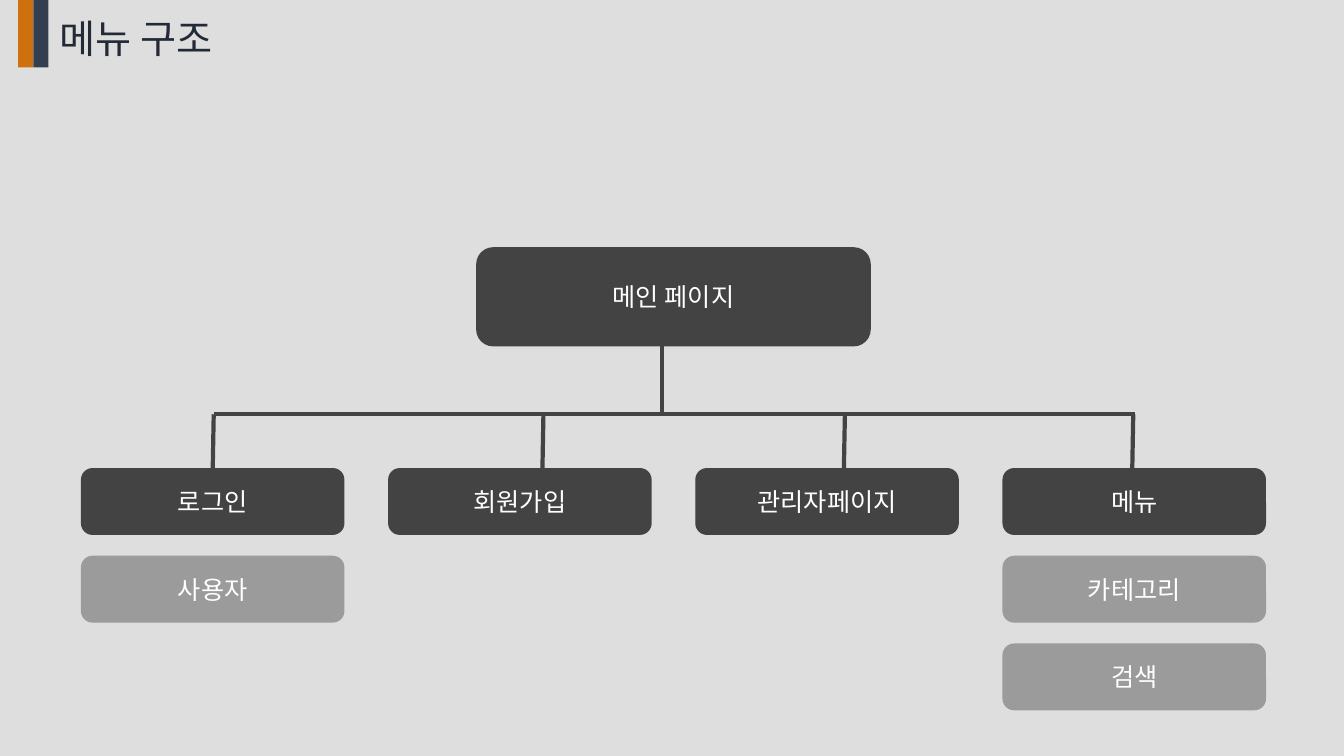
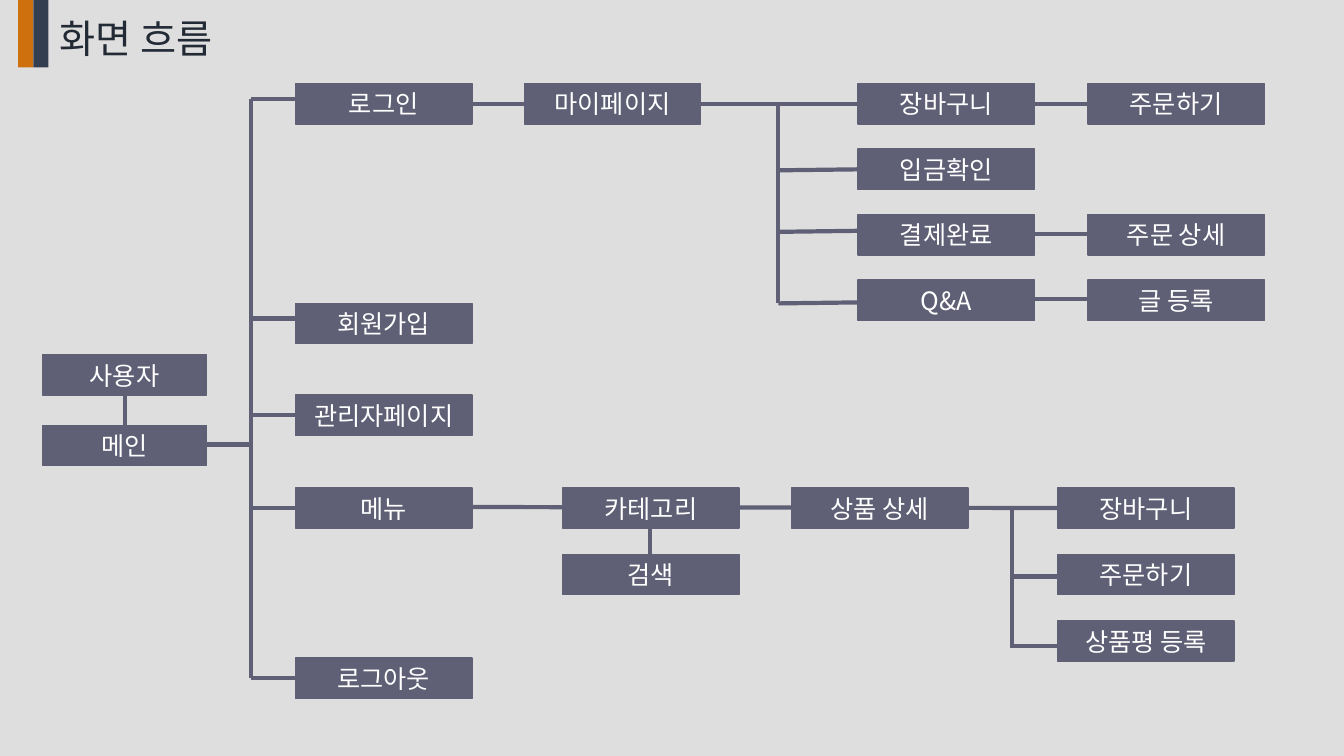
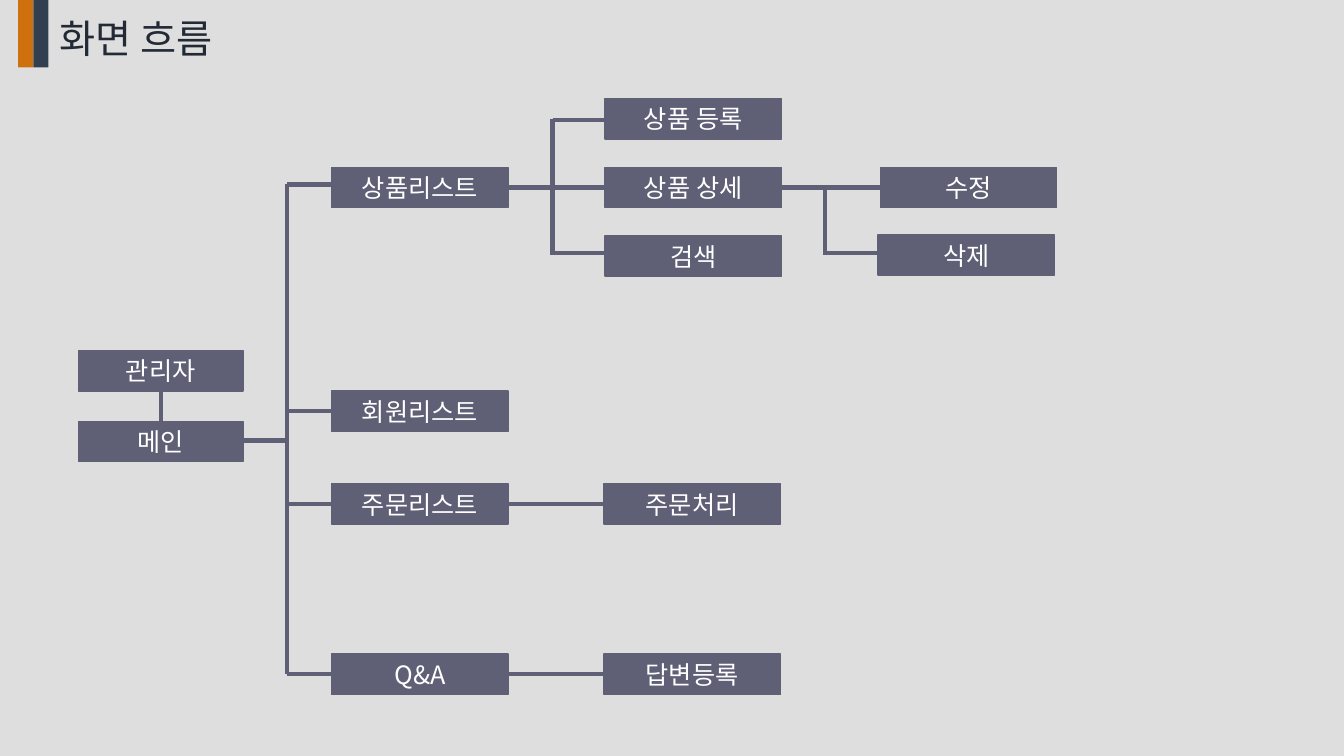
from collections import namedtuple

from lxml.etree import SubElement as Sub
from pptx import Presentation
from pptx.dml.color import RGBColor as RGB
from pptx.enum.shapes import MSO_CONNECTOR as Link, MSO_SHAPE as Kind
from pptx.enum.text import MSO_ANCHOR as Anchor, MSO_AUTO_SIZE as Fit, PP_ALIGN as Align
from pptx.oxml.ns import qn
from pptx.util import Inches, Pt

# Shared colours, font and sizes
PAPER = RGB(0xDF, 0xDE, 0xDE)
ORANGE = RGB(0xCD, 0x70, 0x0D)
NAVY = RGB(0x33, 0x3F, 0x50)
INK = RGB(0x22, 0x2A, 0x35)
WHITE = RGB(0xFF, 0xFF, 0xFF)
DARK = RGB(0x43, 0x43, 0x43)
GREY = RGB(0x9B, 0x9B, 0x9B)
SLATE = RGB(0x5F, 0x5F, 0x76)
FACE = "Noto Sans CJK KR"
CELL_W, CELL_H = 1.75, 0.4

Box = namedtuple("Box", "x y w h")


def inch(*nums):
    return [Inches(n) for n in nums]


def write(shape, text, size, color, align):
    """Put one formatted line of text, centred vertically, in a shape."""
    frame = shape.text_frame
    look = {"word_wrap": True, "auto_size": Fit.NONE, "vertical_anchor": Anchor.MIDDLE}
    for key, val in look.items():
        setattr(frame, key, val)
    par = frame.paragraphs[0]
    par.alignment = align
    run = par.add_run()
    run.text = text
    for key, val in {"name": FACE, "size": Pt(size), "bold": False}.items():
        setattr(run.font, key, val)
    run.font.color.rgb = color
    Sub(run.font._element, qn("a:ea")).set("typeface", FACE)


def block(slide, box, color, text="", kind=Kind.RECTANGLE):
    shape = slide.shapes.add_shape(kind, *inch(*box))
    shape.shadow.inherit = False
    shape.fill.solid()
    shape.fill.fore_color.rgb = color
    if text:
        shape.line.color.rgb = color
        shape.line.width = Pt(1)
        write(shape, text, 18, WHITE, Align.CENTER)
    else:
        shape.line.fill.background()


def rule(slide, x1, y1, x2, y2, color=SLATE):
    line = slide.shapes.add_connector(Link.STRAIGHT, *inch(x1, y1, x2, y2))
    line.line.color.rgb = color
    line.line.width = Pt(3)
    Sub(line._element.spPr, qn("a:effectLst"))


def page(deck, title):
    """Add a slide with its title and the two corner bands."""
    slide = deck.slides.add_slide(deck.slide_layouts[5])
    for i, color in enumerate((ORANGE, NAVY)):
        block(slide, Box(0.18 + 0.15 * i, 0, 0.15, 0.67), color)
    head = slide.shapes.title
    spot = dict(zip(("left", "top", "width", "height"), inch(0.49, 0.09, 1.91, 0.57)))
    for key, val in spot.items():
        setattr(head, key, val)
    write(head, title, 28, INK, Align.LEFT)
    return slide


def tree(slide, box, top, cols, stubs):
    """Menu tree: a wide root above equal columns of rounded cells."""
    wide, tall, high, step = 2.6, 0.65, 0.97, 0.87
    root = Box(box.x + (box.w - 3.9) / 2, box.y, 3.9, high)
    bar, row = box.y + 1.65, box.y + 2.19
    # Lines from the root to each column
    rule(slide, box.x + stubs[0] + 0.01, bar, box.x + stubs[-1] + 0.03, bar, DARK)
    rule(slide, box.x + 5.76, bar, box.x + 5.76, box.y + high, DARK)
    for stub in stubs:
        rule(slide, box.x + stub, row, box.x + stub + 0.01, bar, DARK)
    # Cells
    block(slide, root, DARK, top, Kind.ROUNDED_RECTANGLE)
    pitch = (box.w - wide) / (len(cols) - 1)
    for i, names in enumerate(cols):
        for j, name in enumerate(names):
            cell = Box(box.x + i * pitch, row + j * step, wide, tall)
            block(slide, cell, GREY if j else DARK, name, Kind.ROUNDED_RECTANGLE)


def stack(slide, x, y, names, step=0.65, wide=CELL_W):
    """Column of flow cells at an equal pitch; None leaves a gap."""
    for i, name in enumerate(names):
        if name:
            block(slide, Box(x, y + i * step, wide, CELL_H), SLATE, name)


def fan(slide, x, top, end, to, ticks, tilt=0):
    """Upright line with ticks to the right."""
    rule(slide, x, top, x, end)
    for y in ticks:
        rule(slide, x, y, to, y - tilt)


def start(slide, x, y, user, kids):
    """Left part of a flow: user, main page, trunk and first-level cells.

    Each kid is (name, top, tick), top from y and tick from the cell's top.
    """
    stack(slide, x, y, (user, "메인"), 0.7, 1.63)
    rule(slide, x + 0.82, y + CELL_H, x + 0.82, y + 0.7)
    rule(slide, x + 1.63, y + 0.89, x + 2.07, y + 0.89)
    ticks = [y + top + tick for _, top, tick in kids]
    fan(slide, x + 2.07, ticks[0], ticks[-1], x + 2.51, ticks)
    for name, top, _ in kids:
        stack(slide, x + 2.51, y + top, (name,))


def shop(slide):
    """Flow of the user's screens."""
    start(slide, 0.42, 3.52, "사용자", (
        ("로그인", -2.69, 0.15), ("회원가입", -0.51, 0.15), ("관리자페이지", 0.4, 0.2),
        ("메뉴", 1.32, 0.2), ("로그아웃", 3.01, 0.2)))
    # Login branch
    rule(slide, 4.68, 1.03, 10.79, 1.03)
    fan(slide, 7.72, 1.03, 3.01, 8.51, (1.69, 2.3, 3.01), 0.01)
    for y in (2.32, 2.97):
        rule(slide, 10.27, y, 10.79, y)
    stack(slide, 5.2, 0.83, ("마이페이지",))
    stack(slide, 8.51, 0.83, ("장바구니", "입금확인", "결제완료", "Q&A"))
    stack(slide, 10.79, 0.83, ("주문하기", None, "주문 상세", "글 등록"))
    # Menu branch
    rule(slide, 4.68, 5.03, 10.49, 5.04)
    rule(slide, 6.45, 5.24, 6.45, 5.5)
    fan(slide, 10.04, 5.03, 6.43, 10.56, (5.72, 6.41))
    stack(slide, 5.58, 4.84, ("카테고리", "검색"), 0.66)
    stack(slide, 7.85, 4.84, ("상품 상세",))
    stack(slide, 10.49, 4.84, ("장바구니", "주문하기", "상품평 등록"), 0.66)


def admin(slide):
    """Flow of the manager's screens."""
    start(slide, 0.78, 3.48, "관리자", (
        ("상품리스트", -1.82, 0.17), ("회원리스트", 0.4, 0.2),
        ("주문리스트", 1.32, 0.2), ("Q&A", 3.01, 0.2)))
    # Product branch
    rule(slide, 5.04, 1.86, 8.98, 1.86)
    fan(slide, 5.48, 1.18, 2.53, 6.04, (1.19, 2.51))
    fan(slide, 8.18, 1.86, 2.53, 8.73, (2.51,))
    stack(slide, 6, 0.98, ("상품 등록", "상품 상세", "검색"), 0.68)
    stack(slide, 8.73, 1.66, ("수정",))
    stack(slide, 8.71, 2.33, ("삭제",))
    # Order and question branches
    for y in (5, 6.69):
        rule(slide, 5.04, y, 5.99, y)
    stack(slide, 5.99, 4.8, ("주문처리", "답변등록"), 1.69)


def main():
    deck = Presentation()
    deck.slide_width, deck.slide_height = inch(13.33, 7.5)
    back = deck.slide_master.background.fill
    back.solid()
    back.fore_color.rgb = PAPER

    tree(page(deck, "메뉴 구조"), Box(0.81, 2.46, 11.74, 4.59), "메인 페이지",
         (("로그인", "사용자"), ("회원가입",), ("관리자페이지",), ("메뉴", "카테고리", "검색")),
         (1.3, 4.57, 7.56, 10.42))
    shop(page(deck, "화면 흐름"))
    admin(page(deck, "화면 흐름"))
    deck.save("out.pptx")


if __name__ == "__main__":
    main()
